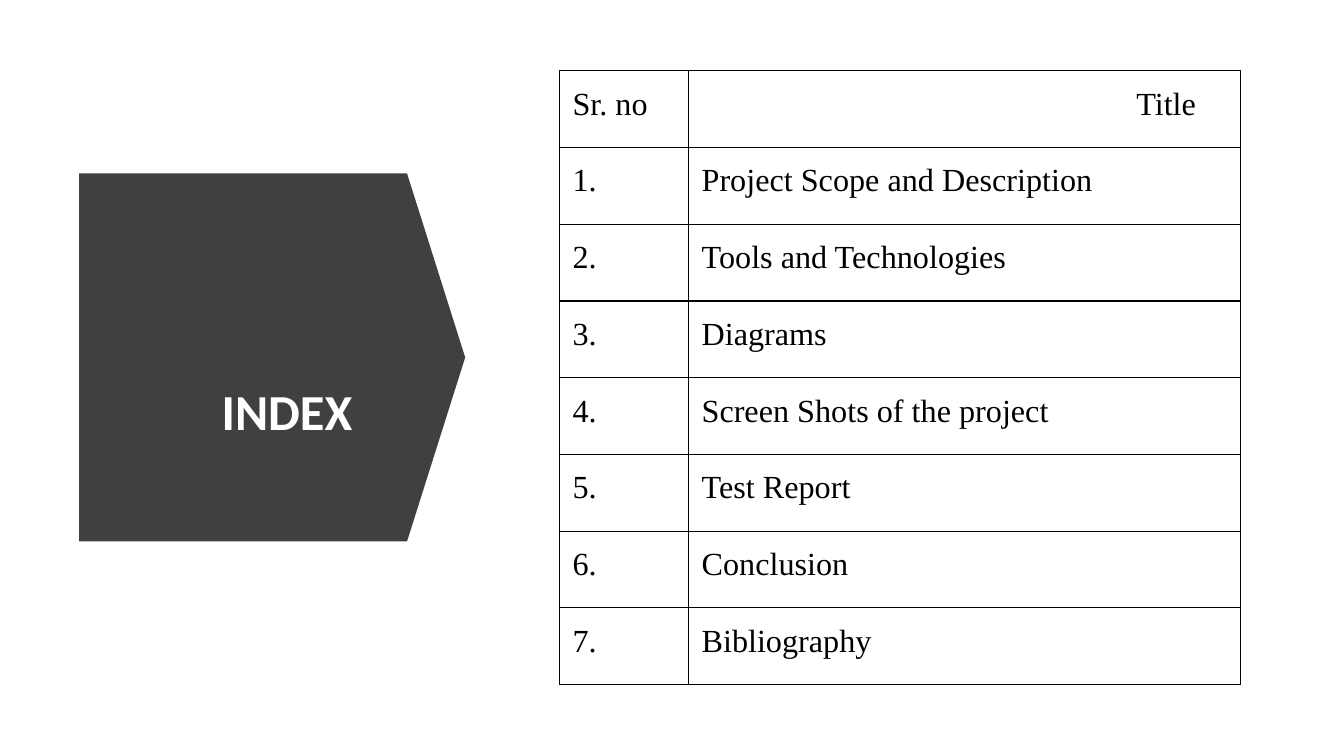
"""Build the project index slide: an arrow title beside a table of contents."""
from dataclasses import dataclass

from lxml.etree import SubElement
from pptx import Presentation
from pptx.dml.color import RGBColor
from pptx.enum.shapes import MSO_SHAPE
from pptx.enum.text import MSO_ANCHOR, PP_ALIGN
from pptx.oxml.ns import qn
from pptx.slide import Slide
from pptx.table import _Cell
from pptx.text.text import _Paragraph
from pptx.util import Pt

BLACK, WHITE, CHARCOAL = "000000", "FFFFFF", "404040"
ROW_HEIGHT = 54.8
COLUMN_WIDTHS = (92.2, 394.5)
CELL_INSET = 9.4
TITLE_HEADING_INSET = 32


@dataclass(frozen=True)
class TextStyle:
    font: str
    size: float
    color: str
    line_spacing: float
    space_after: float
    bold: bool = False


HEADLINE = TextStyle("Calibri", 36, WHITE, 0.9, 6, bold=True)
ENTRY = TextStyle("Times New Roman", 23, BLACK, 1.07, 8)
TOPICS = (
    "Project Scope and Description",
    "Tools and Technologies",
    "Diagrams",
    "Screen Shots of the project",
    "Test Report",
    "Conclusion",
    "Bibliography",
)


def rgb(color: str) -> RGBColor:
    return RGBColor.from_string(color)


def write(paragraph: _Paragraph, text: str, style: TextStyle, align: PP_ALIGN) -> None:
    paragraph.text = text
    paragraph.alignment = align
    paragraph.line_spacing = style.line_spacing
    paragraph.space_after = Pt(style.space_after)
    for run in paragraph.runs:
        run.font.name = style.font
        run.font.size = Pt(style.size)
        run.font.bold = style.bold
        run.font.color.rgb = rgb(style.color)


def add_arrow(slide: Slide) -> None:
    arrow = slide.shapes.add_shape(
        MSO_SHAPE.DOWN_ARROW, Pt(63), Pt(117.4), Pt(262.8), Pt(275.8)
    )
    arrow.rotation = 270
    arrow.adjustments[0] = 1
    arrow.adjustments[1] = 0.158
    arrow.shadow.inherit = False
    arrow.fill.solid()
    arrow.fill.fore_color.rgb = rgb(CHARCOAL)
    arrow.line.fill.background()


def add_headline(slide: Slide) -> None:
    headline = slide.shapes.add_textbox(Pt(80.6), Pt(154.8), Pt(207.4), Pt(200.9))
    frame = headline.text_frame
    frame.word_wrap = True
    frame.vertical_anchor = MSO_ANCHOR.TOP
    frame.margin_left = Pt(48.5)
    frame.margin_top = Pt(121.8)
    write(frame.paragraphs[0], "INDEX", HEADLINE, PP_ALIGN.CENTER)


def add_borders(cell: _Cell) -> None:
    properties = cell._tc.get_or_add_tcPr()
    for position, side in enumerate(("a:lnL", "a:lnR", "a:lnT", "a:lnB")):
        border = SubElement(properties, qn(side), w=str(Pt(1)))
        properties.insert(position, border)
        fill = SubElement(border, qn("a:solidFill"))
        SubElement(fill, qn("a:srgbClr"), val=BLACK)


def fill_cell(cell: _Cell, text: str, align: PP_ALIGN, right_inset: float) -> None:
    cell.margin_left = cell.margin_top = cell.margin_bottom = Pt(CELL_INSET)
    cell.margin_right = Pt(right_inset)
    cell.fill.background()
    add_borders(cell)
    write(cell.text_frame.paragraphs[0], text, ENTRY, align)


def add_contents(slide: Slide) -> None:
    entries = [(f"{number}.", topic) for number, topic in enumerate(TOPICS, 1)]
    rows = [("Sr. no", "Title"), *entries]
    contents = slide.shapes.add_table(
        len(rows), len(COLUMN_WIDTHS), Pt(399.6), Pt(50.6),
        Pt(sum(COLUMN_WIDTHS)), Pt(ROW_HEIGHT * len(rows)),
    ).table
    contents.first_row = contents.horz_banding = False
    for column, width in zip(contents.columns, COLUMN_WIDTHS):
        column.width = Pt(width)
    for row, texts in zip(contents.rows, rows):
        row.height = Pt(ROW_HEIGHT)
        for cell, text in zip(row.cells, texts):
            if text == "Title":
                fill_cell(cell, text, PP_ALIGN.RIGHT, TITLE_HEADING_INSET)
            else:
                fill_cell(cell, text, PP_ALIGN.LEFT, CELL_INSET)


def main() -> None:
    deck = Presentation()
    deck.slide_width, deck.slide_height = Pt(960), Pt(540)
    slide = deck.slides.add_slide(deck.slide_layouts[6])
    add_arrow(slide)
    add_headline(slide)
    add_contents(slide)
    deck.save("out.pptx")


if __name__ == "__main__":
    main()
